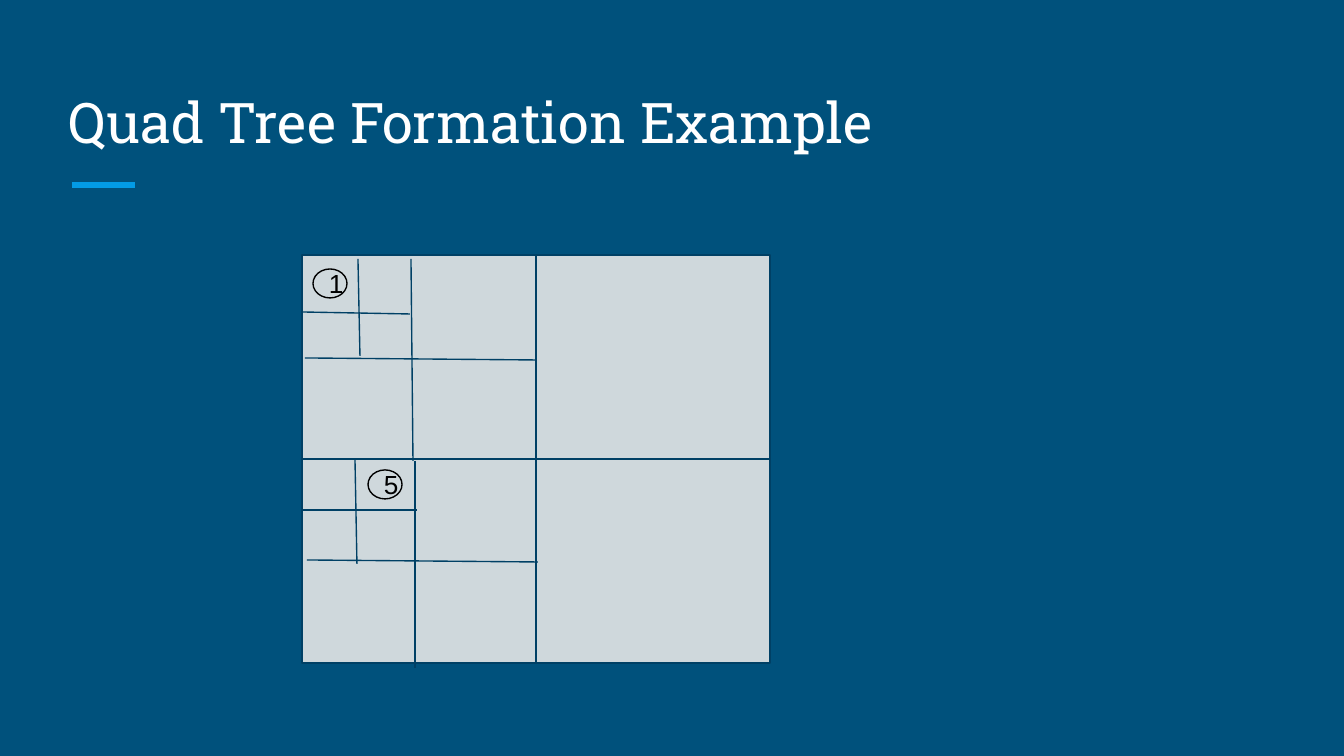
from typing import NamedTuple

from lxml.etree import SubElement
from pptx import Presentation
from pptx.dml.color import RGBColor as Rgb
from pptx.enum.shapes import MSO_CONNECTOR as Conn, MSO_SHAPE as Kind
from pptx.enum.text import MSO_ANCHOR as Anchor, PP_ALIGN as Align
from pptx.oxml.ns import qn
from pptx.util import Emu, Pt

SCALE = 914400 / 134.4
COLORS = {
    "back": "00517C",
    "accent": "039BE5",
    "title": "FFFFFF",
    "area": "CFD8DC",
    "line": "004065",
    "point": "000000",
}


class Line(NamedTuple):
    x1: int
    y1: int
    x2: int
    y2: int


class Point(NamedTuple):
    label: str
    x: int
    y: int


AREA = (302, 255, 468, 408)
MIDS = [(0, 2), (1, 3)]  # facing sides of the area
CUTS = [
    # upper left quadrant, then its own upper left quarter
    Line(411, 259, 413, 461),
    Line(305, 358, 535, 360),
    Line(360, 356, 358, 259),
    Line(302, 312, 410, 314),
    # lower left quadrant, then its own upper left quarter
    Line(415, 461, 415, 668),
    Line(307, 560, 538, 562),
    Line(417, 510, 303, 510),
    Line(355, 460, 357, 564),
]
POINTS = [Point("1", 313, 269), Point("5", 368, 470)]


def px(n: int) -> Emu:
    return Emu(round(n * SCALE))


def color(name: str) -> Rgb:
    return Rgb.from_string(COLORS[name])


def pad(frame) -> None:
    """Give a text frame equal insets."""
    frame.margin_left = frame.margin_right = px(13)
    frame.margin_top = frame.margin_bottom = px(13)
    frame.word_wrap = True


def style(para, font: str, size: int, name: str) -> None:
    para.alignment = Align.LEFT
    para.font.name = font
    para.font.size = Pt(size)
    para.font.color.rgb = color(name)


def draw_line(shapes, line: Line, name: str = "line", width: float = 0.75):
    item = shapes.add_connector(Conn.STRAIGHT, *map(px, line))
    item.line.color.rgb = color(name)
    item.line.width = Pt(width)
    SubElement(item._element.spPr, qn("a:effectLst"))
    return item


def draw_shape(shapes, kind: Kind, box: tuple[int, ...], edge: str):
    item = shapes.add_shape(kind, *map(px, box))
    item.shadow.inherit = False
    item.fill.solid()
    item.fill.fore_color.rgb = color("area")
    item.line.color.rgb = color(edge)
    item.line.width = Pt(0.75)
    return item


def draw_point(shapes, point: Point) -> None:
    item = draw_shape(shapes, Kind.OVAL, (point.x, point.y, 34, 29), "point")
    frame = item.text_frame
    frame.text = point.label
    frame.vertical_anchor = Anchor.MIDDLE
    pad(frame)
    style(frame.paragraphs[0], "Arial", 14, "point")


def draw_title(title, text: str) -> None:
    title.left, title.top, title.width, title.height = map(px, (56, 67, 1230, 101))
    frame = title.text_frame
    frame.text = text
    frame.vertical_anchor = Anchor.BOTTOM
    pad(frame)
    style(frame.paragraphs[0], "Roboto Slab", 30, "title")


def main() -> None:
    deck = Presentation()
    deck.slide_width, deck.slide_height = px(1344), px(756)
    slide = deck.slides.add_slide(deck.slide_layouts[5])
    slide.background.fill.solid()
    slide.background.fill.fore_color.rgb = color("back")
    shapes = slide.shapes

    draw_title(shapes.title, "Quad Tree Formation Example")
    draw_line(shapes, Line(72, 185, 135, 185), "accent", 3)

    area = draw_shape(shapes, Kind.RECTANGLE, AREA, "line")
    for start, end in MIDS:
        mid = draw_line(shapes, Line(0, 0, 0, 0))
        mid.begin_connect(area, start)
        mid.end_connect(area, end)
    for cut in CUTS:
        draw_line(shapes, cut)
    for point in POINTS:
        draw_point(shapes, point)

    deck.save("out.pptx")


if __name__ == "__main__":
    main()
